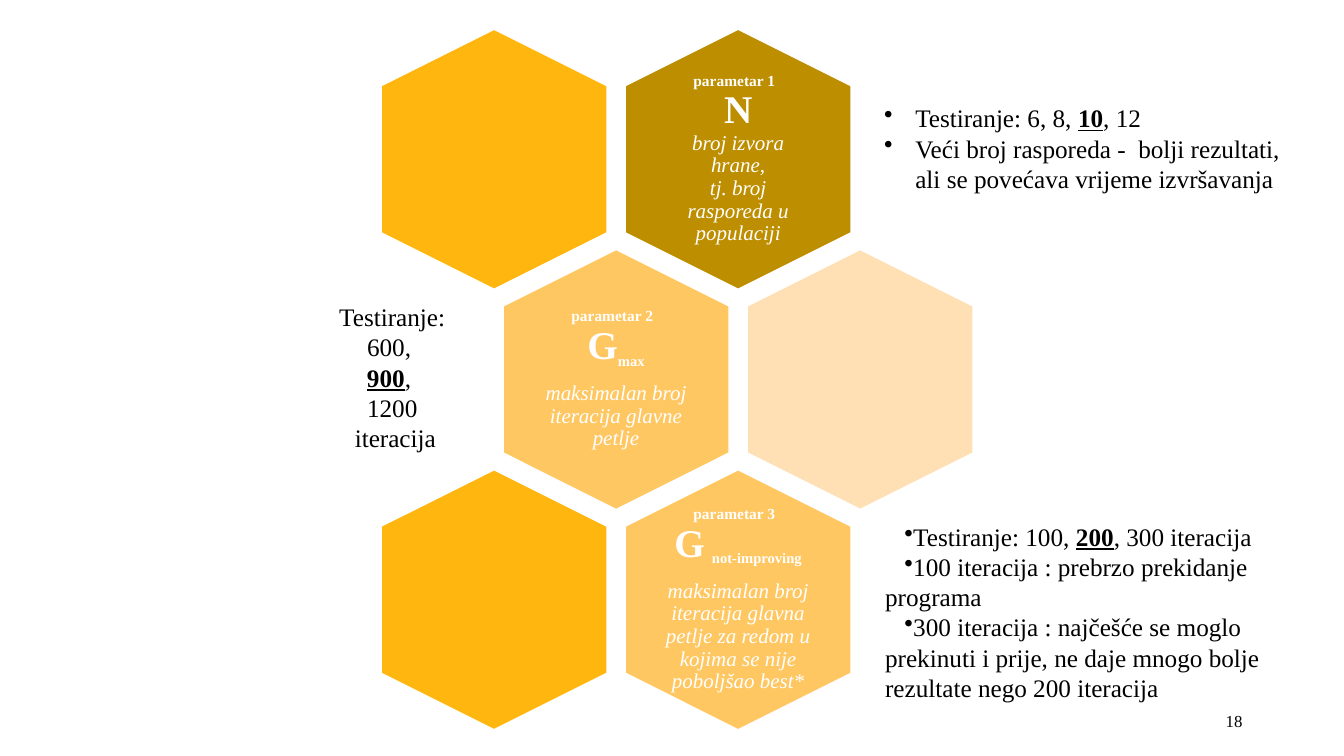
import copy
import dataclasses
import typing

import lxml.etree
import pptx
import pptx.dml.color
import pptx.enum.shapes
import pptx.enum.text
import pptx.oxml.ns
import pptx.util

RGBColor = pptx.dml.color.RGBColor
Align = pptx.enum.text.PP_ALIGN
Anchor = pptx.enum.text.MSO_ANCHOR

WHITE = RGBColor(0xFF, 0xFF, 0xFF)
BLACK = RGBColor(0x00, 0x00, 0x00)
BRONZE = RGBColor(0xBD, 0x8E, 0x00)
AMBER = RGBColor(0xFF, 0xB7, 0x10)
HONEY = RGBColor(0xFF, 0xC7, 0x62)
CREAM = RGBColor(0xFF, 0xE0, 0xB4)

WIDTH = pptx.util.Inches(13.33)
HEIGHT = pptx.util.Inches(7.5)
FIRST_X, STEP_X = 36.76, 9.08
FIRST_Y, STEP_Y = 21.07, 29.13
HEXAGON_SIZE = (19.35, 29.87)
LABEL_SIZE = (11.55, 23.6)

TITLE = {"size": pptx.util.Pt(11), "bold": True}
SYMBOL = {"size": pptx.util.Pt(28), "bold": True}
GAP = {"size": pptx.util.Pt(20), "bold": True}
INDEX = {"size": pptx.util.Pt(18), "bold": True}
MEANING = {"size": pptx.util.Pt(15), "italic": True}
BODY = {"size": pptx.util.Pt(18)}
CHOSEN = {"size": pptx.util.Pt(18), "bold": True, "underline": True}
NUMBER = {"size": pptx.util.Pt(12)}


@dataclasses.dataclass(frozen=True)
class Span:
    text: str
    style: dict[str, typing.Any]
    baseline: int = 0


Para = list[Span]


@dataclasses.dataclass(frozen=True)
class Cell:
    column: int
    row: int
    fill: RGBColor
    paras: tuple[Para, ...] = ()


@dataclasses.dataclass(frozen=True)
class Note:
    area: tuple[float, float, float, float]
    paras: tuple[Para, ...]
    align: Align = Align.LEFT
    anchor: Anchor = Anchor.TOP
    level: int = 0
    bullet: tuple[float, float] | None = None
    grows: bool = True


CELLS = [
    Cell(2, 0, BRONZE, (
        [Span("parametar 1  \n", TITLE), Span("N\n", SYMBOL),
         Span("broj izvora hrane,\ntj. broj rasporeda u populaciji", MEANING)],
    )),
    Cell(0, 0, AMBER),
    Cell(1, 1, HONEY, (
        [Span("parametar 2  \n", TITLE), Span("G", SYMBOL), Span("max", INDEX, -25000)],
        [Span("maksimalan broj iteracija glavne petlje", MEANING)],
    )),
    Cell(3, 1, CREAM),
    Cell(2, 2, HONEY, (
        [Span("parametar 3  \n", TITLE), Span("G", SYMBOL), Span(" ", GAP),
         Span("not-improving", INDEX, -25000)],
        [Span("maksimalan broj iteracija glavna petlje za redom u kojima se nije "
              "poboljšao best*", MEANING)],
    )),
    Cell(0, 2, AMBER),
]

NOTES = [
    Note((65.04, 12.93, 31.28, 17.47), (
        [Span("Testiranje: 6, 8, ", BODY), Span("10", CHOSEN), Span(", 12", BODY)],
        [Span("Veći broj rasporeda -  bolji rezultati, ali se povećava vrijeme "
              "izvršavanja", BODY)],
    ), bullet=(0.31, -0.31)),
    Note((23.03, 39.2, 12.3, 25.6), (
        [Span("Testiranje: 600, \n", BODY), Span("900", CHOSEN),
         Span(", \n1200\n iteracija", BODY)],
    ), align=Align.CENTER),
    Note((65.12, 68.27, 33.23, 29.6), (
        [Span("Testiranje: 100, ", BODY), Span("200", CHOSEN),
         Span(", 300 iteracija", BODY)],
        [Span("100 iteracija : prebrzo prekidanje programa", BODY)],
        [Span("300 iteracija : najčešće se moglo prekinuti i prije, ne daje mnogo "
              "bolje rezultate nego 200 iteracija", BODY)],
    ), level=1, bullet=(0, 0.19)),
    Note((70.67, 92.67, 22.51, 5.33), ([Span("18", NUMBER)],),
         align=Align.RIGHT, anchor=Anchor.MIDDLE, grows=False),
]


def place(left: float, top: float, width: float, height: float) -> tuple[int, ...]:
    return (round(WIDTH * left / 100), round(HEIGHT * top / 100),
            round(WIDTH * width / 100), round(HEIGHT * height / 100))


def place_around(cell: Cell, size: tuple[float, float]) -> tuple[int, ...]:
    width, height = size
    return place(FIRST_X + STEP_X * cell.column - width / 2,
                 FIRST_Y + STEP_Y * cell.row - height / 2, width, height)


def set_values(target: typing.Any, values: dict[str, typing.Any]) -> None:
    for name, value in values.items():
        setattr(target, name, value)


def write_span(para: typing.Any, span: Span, color: RGBColor) -> None:
    for position, text in enumerate(span.text.split("\n")):
        if position:
            para.add_line_break()
            para._p[-1].append(copy.deepcopy(properties))
        run = para.add_run()
        run.text = text
        set_values(run.font, {"name": "Times New Roman", **span.style})
        run.font.color.rgb = color
        properties = run._r.get_or_add_rPr()
        if span.baseline:
            properties.set("baseline", str(span.baseline))
        if not text:
            para._p.remove(run._r)


def add_paras(frame: typing.Any, paras: tuple[Para, ...], color: RGBColor) -> list:
    for position, spans in enumerate(paras):
        para = frame.add_paragraph() if position else frame.paragraphs[0]
        for span in spans:
            write_span(para, span, color)
    return list(frame.paragraphs)


def space_after_share(para: typing.Any, share: int) -> None:
    para.space_after = pptx.util.Pt(0)
    spacing = para._p.pPr.find(pptx.oxml.ns.qn("a:spcAft"))
    spacing.remove(spacing[0])
    lxml.etree.SubElement(spacing, pptx.oxml.ns.qn("a:spcPct"), val=str(share * 1000))


def add_bullet(para: typing.Any, margin: float, indent: float) -> None:
    properties = para._p.get_or_add_pPr()
    properties.set("marL", str(pptx.util.Inches(margin)))
    properties.set("indent", str(pptx.util.Inches(indent)))
    lxml.etree.SubElement(properties, pptx.oxml.ns.qn("a:buChar"), char="•")


def draw_cell(shapes: typing.Any, cell: Cell) -> None:
    hexagon = shapes.add_shape(pptx.enum.shapes.MSO_SHAPE.HEXAGON,
                               *place_around(cell, HEXAGON_SIZE))
    hexagon.rotation = 90
    hexagon.shadow.inherit = False
    hexagon.fill.solid()
    hexagon.fill.fore_color.rgb = cell.fill
    hexagon.line.color.rgb = WHITE
    hexagon.line.width = pptx.util.Pt(1)
    if not cell.paras:
        return
    frame = shapes.add_textbox(*place_around(cell, LABEL_SIZE)).text_frame
    inset = pptx.util.Inches(0.05)
    set_values(frame, {"word_wrap": True, "vertical_anchor": Anchor.MIDDLE,
                       "margin_left": inset, "margin_right": inset,
                       "margin_top": inset, "margin_bottom": inset})
    for para in add_paras(frame, cell.paras, WHITE):
        set_values(para, {"alignment": Align.CENTER, "line_spacing": 0.9})
        space_after_share(para, 35)


def draw_note(page: typing.Any, note: Note) -> None:
    frame = page.shapes.add_textbox(*place(*note.area)).text_frame
    set_values(frame, {"word_wrap": True, "vertical_anchor": note.anchor})
    if note.grows:
        frame.auto_size = pptx.enum.text.MSO_AUTO_SIZE.SHAPE_TO_FIT_TEXT
    for para in add_paras(frame, note.paras, BLACK):
        set_values(para, {"alignment": note.align, "level": note.level})
        if note.bullet:
            add_bullet(para, *note.bullet)


def main() -> None:
    deck = pptx.Presentation()
    set_values(deck, {"slide_width": WIDTH, "slide_height": HEIGHT})
    page = deck.slides.add_slide(deck.slide_layouts[6])
    honeycomb = page.shapes.add_group_shape()
    for cell in CELLS:
        draw_cell(honeycomb.shapes, cell)
    for note in NOTES:
        draw_note(page, note)
    deck.save("out.pptx")


if __name__ == "__main__":
    main()
